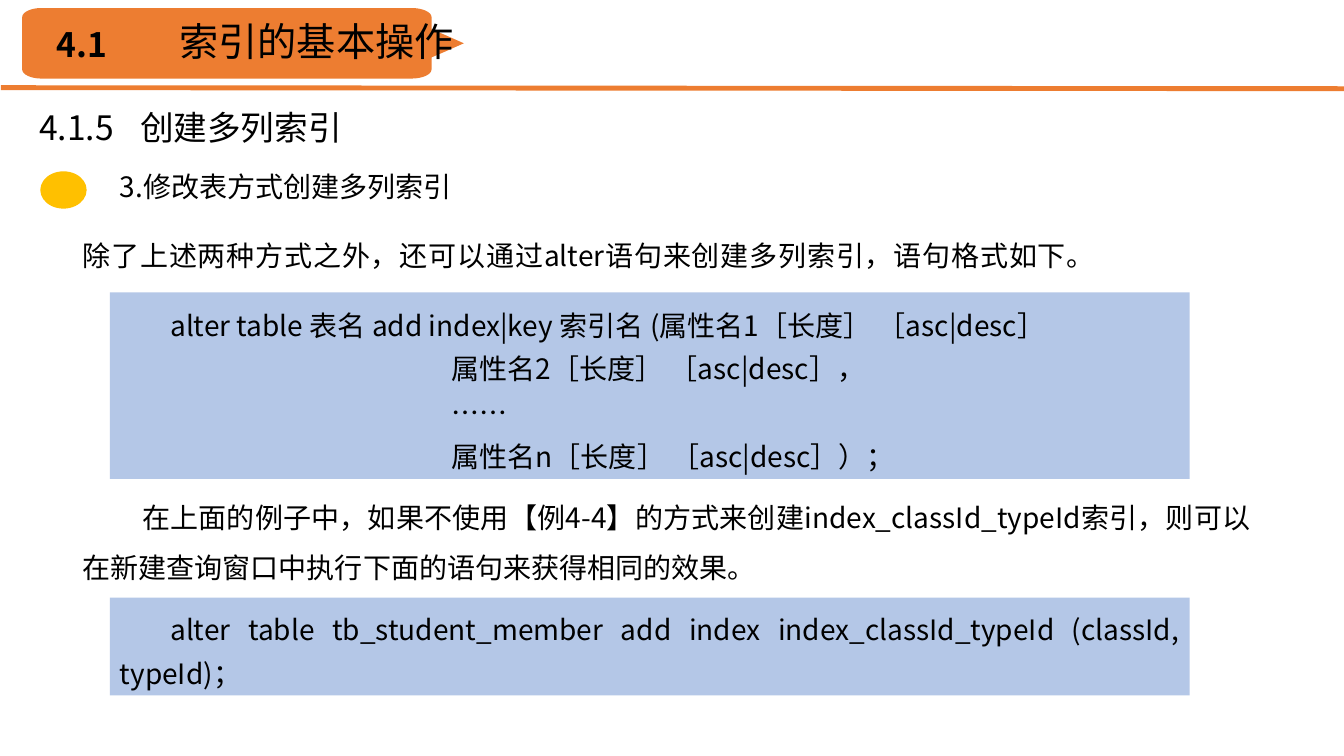
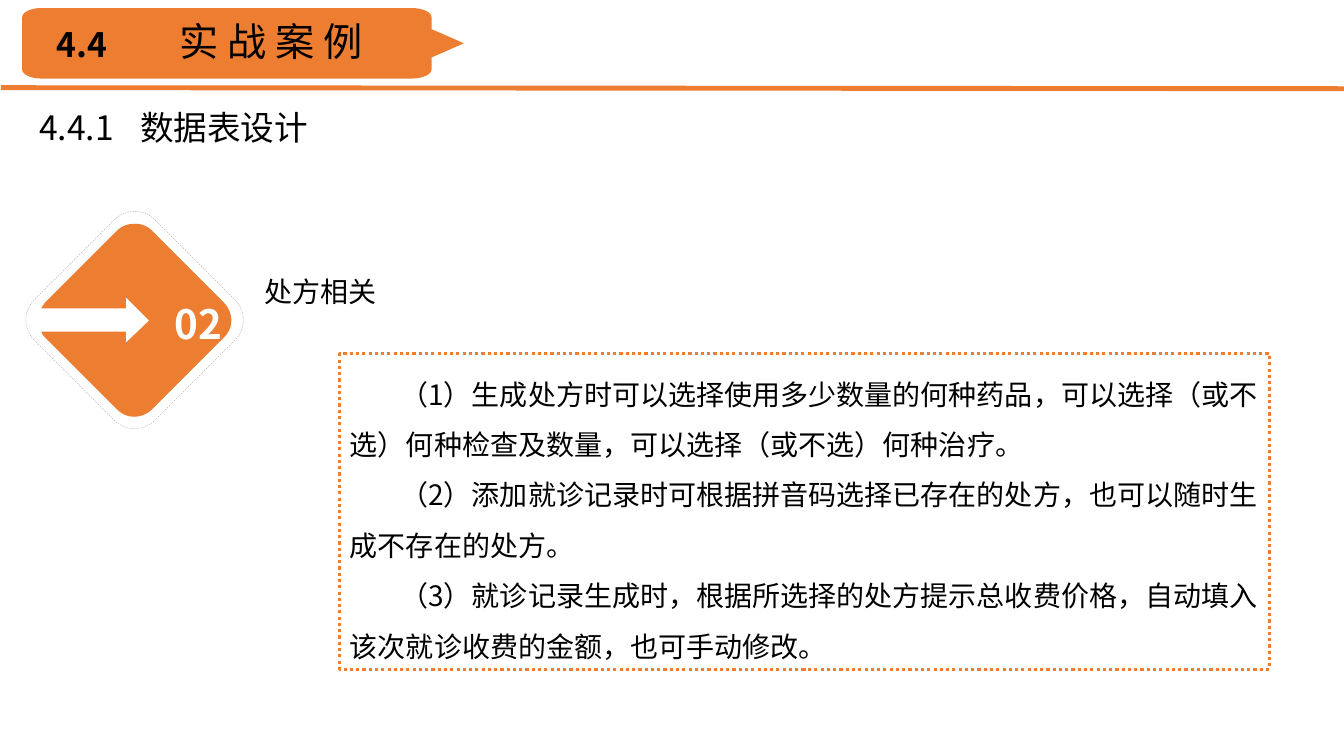
from dataclasses import dataclass

from lxml import etree
from pptx import Presentation
from pptx.dml.color import RGBColor
from pptx.enum.dml import MSO_LINE
from pptx.enum.shapes import MSO_CONNECTOR, MSO_SHAPE
from pptx.enum.text import MSO_ANCHOR, MSO_AUTO_SIZE, PP_ALIGN
from pptx.oxml.ns import qn
from pptx.util import Inches, Pt

LEFT, JUSTIFY = PP_ALIGN.LEFT, PP_ALIGN.JUSTIFY
TOP, MIDDLE = MSO_ANCHOR.TOP, MSO_ANCHOR.MIDDLE
NO_FIT = MSO_AUTO_SIZE.NONE
STRAIGHT = MSO_CONNECTOR.STRAIGHT
RECTANGLE, OVAL, ROUNDED = MSO_SHAPE.RECTANGLE, MSO_SHAPE.OVAL, MSO_SHAPE.ROUNDED_RECTANGLE
DOTTED, DASHED = MSO_LINE.ROUND_DOT, MSO_LINE.DASH


@dataclass(frozen=True)
class Theme:
    font: str = "Noto Sans CJK SC"
    ink: RGBColor = RGBColor(0x00, 0x00, 0x00)
    white: RGBColor = RGBColor(0xFF, 0xFF, 0xFF)
    accent: RGBColor = RGBColor(0xED, 0x7D, 0x31)
    marker: RGBColor = RGBColor(0xFF, 0xC0, 0x00)
    code: RGBColor = RGBColor(0xB4, 0xC7, 0xE7)
    frame: RGBColor = RGBColor(0xA6, 0xA6, 0xA6)
    title: float = 28
    heading: float = 24
    body: float = 20
    emblem: float = 28.8


THEME = Theme()
SLIDE_WIDTH, SLIDE_HEIGHT = 13.33, 7.5
TITLE_ONLY, TITLE_AND_CONTENT = 5, 1
HEADING_TAB = 0.96
CODE_INDENT = 0.5
CODE_COLUMN = 3.29

BANNER = [
    (0.19, 0), (3.86, 0), (3.97, 0, 4.06, 0.04, 4.06, 0.09), (4.06, 0.21),
    (4.2, 0.27), (4.38, 0.35), (4.2, 0.43), (4.06, 0.49), (4.06, 0.61),
    (4.06, 0.66, 3.97, 0.7, 3.86, 0.7), (0.19, 0.7),
    (0.09, 0.7, 0, 0.66, 0, 0.61), (0, 0.09), (0, 0.04, 0.09, 0, 0.19, 0),
]
NOTCHED_DIAMOND = [
    (1.09, 0.12), (1.15, 0.12, 1.21, 0.14, 1.26, 0.19), (1.97, 0.9),
    (2.07, 1, 2.07, 1.16, 1.97, 1.25), (1.26, 1.96),
    (1.16, 2.06, 1, 2.06, 0.91, 1.96), (0.2, 1.25),
    (0.19, 1.24, 0.18, 1.23, 0.17, 1.21), (0.16, 1.19), (1, 1.19), (1, 1.3),
    (1.23, 1.08), (1, 0.85), (1, 0.96), (0.16, 0.96), (0.17, 0.94),
    (0.18, 0.93, 0.19, 0.91, 0.2, 0.9), (0.91, 0.19),
    (0.96, 0.14, 1.02, 0.12, 1.09, 0.12),
]


def apply(target, values):
    for name, value in values.items():
        setattr(target, name, value)


def place(shape, box):
    apply(shape, dict(zip(("left", "top", "width", "height"), map(Inches, box))))


def write(shape, lines, size=THEME.body, color=THEME.ink, bold=False, align=LEFT,
          spacing=1.0, first=0, margin=0, tab=None, anchor=TOP, wrap=True):
    frame = shape.text_frame
    apply(frame, {"auto_size": NO_FIT, "word_wrap": wrap, "vertical_anchor": anchor})
    for number, line in enumerate(lines):
        paragraph = frame.add_paragraph() if number else frame.paragraphs[0]
        properties = paragraph._p.get_or_add_pPr()
        properties.set("marL", str(Inches(margin if number else 0)))
        properties.set("indent", str(Inches(0 if number and margin else first)))
        etree.SubElement(properties, qn("a:buNone"))
        if tab:
            stops = etree.SubElement(properties, qn("a:tabLst"))
            etree.SubElement(stops, qn("a:tab"), pos=str(Inches(tab)), algn="l")
        apply(paragraph, {"alignment": align, "line_spacing": spacing,
                          "space_before": Pt(0), "space_after": Pt(0)})
        run = paragraph.add_run()
        run.text = line
        apply(run.font, {"name": THEME.font, "size": Pt(size), "bold": bold})
        run.font.color.rgb = color
        etree.SubElement(run.font._element, qn("a:ea"), typeface=THEME.font)


def add_text(shapes, box, lines, **text_format):
    textbox = shapes.add_textbox(*map(Inches, box))
    write(textbox, lines, **text_format)
    return textbox


def paint(shape, fill=None):
    shape.shadow.inherit = False
    if fill is None:
        shape.fill.background()
    else:
        shape.fill.solid()
        shape.fill.fore_color.rgb = fill
    shape.line.fill.background()


def outline(shape, color, width, dash):
    shape.line.color.rgb = color
    apply(shape.line, {"width": Pt(width), "dash_style": dash})


def add_block(shapes, kind, box, fill=None):
    block = shapes.add_shape(kind, *map(Inches, box))
    paint(block, fill)
    return block


def trace(segments, steps=8):
    points = [segments[0]]
    for segment in segments[1:]:
        if len(segment) == 2:
            points.append(segment)
            continue
        nodes = [points[-1], segment[:2], segment[2:4], segment[4:]]
        for step in range(1, steps + 1):
            t = step / steps
            weights = ((1 - t) ** 3, 3 * t * (1 - t) ** 2, 3 * t * t * (1 - t), t ** 3)
            points.append(tuple(sum(w * node[axis] for w, node in zip(weights, nodes))
                                for axis in (0, 1)))
    return points


def add_outline(shapes, left, top, segments, fill):
    points = [(Inches(left + x), Inches(top + y)) for x, y in trace(segments)]
    builder = shapes.build_freeform(*points[0])
    builder.add_line_segments(points[1:], close=True)
    figure = builder.convert_to_shape()
    paint(figure, fill)
    return figure


def add_master_band(master, slide):
    rule = slide.shapes.add_connector(
        STRAIGHT, *map(Inches, (0.01, 0.87, SLIDE_WIDTH, 0.88)))
    rule.line.color.rgb = THEME.accent
    rule.line.width = Pt(3.5)
    etree.SubElement(rule.element.spPr, qn("a:effectLst"))
    banner = add_outline(slide.shapes, 0.22, 0.08, BANNER, THEME.accent)
    for part in (banner, rule):
        master.shapes.element.insert(2, part.element)


def add_header(slide, chapter, title, section, topic):
    add_text(slide.shapes, (0.46, 0.19, 0.95, 0.5), [chapter],
             size=THEME.heading, bold=True)
    place(slide.shapes.title, (1.68, 0.12, 4.92, 0.57))
    write(slide.shapes.title, [title], size=THEME.title)
    add_text(slide.shapes, (0.29, 1.01, 4.92, 0.5), [f"{section}\t{topic}"],
             size=THEME.heading, tab=HEADING_TAB)


def add_marked_heading(slide, left, top, text):
    add_block(slide.shapes, OVAL, (left, top + 0.07, 0.46, 0.37), THEME.marker)
    add_text(slide.shapes, (left + 0.69, top, 4.56, 0.44), [text])


def add_prose(slide, box, text):
    add_text(slide.shapes, box, [text], align=JUSTIFY, spacing=1.5, first=0.59)


def add_code(slide, top, height, lines):
    panel = add_block(slide.shapes, RECTANGLE, (1.09, top, 10.71, height), THEME.code)
    write(panel, lines, align=JUSTIFY, spacing=1.3, first=CODE_INDENT,
          margin=CODE_COLUMN, anchor=MIDDLE)


def add_emblem(slide, left, top, label):
    emblem = slide.shapes.add_group_shape().shapes
    border = add_block(emblem, ROUNDED, (left + 0.24, top + 0.23, 1.69, 1.69))
    border.rotation = 45
    outline(border, THEME.frame, 0.25, DASHED)
    add_outline(emblem, left, top, NOTCHED_DIAMOND, THEME.accent)
    add_text(emblem, (left + 1.38, top + 0.82, 0.58, 0.5), [label],
             size=THEME.emblem, color=THEME.white, bold=True, wrap=False)


def add_requirements(slide, box, requirements):
    panel = slide.placeholders[1]
    place(panel, box)
    outline(panel, THEME.accent, 2.25, DOTTED)
    write(panel, requirements, spacing=1.5, first=0.5, anchor=MIDDLE)


def build_index_slide(slide):
    add_header(slide, "4.1", "索引的基本操作", "4.1.5", "创建多列索引")
    add_marked_heading(slide, 0.4, 1.63, "3.修改表方式创建多列索引")
    add_prose(slide, (0.13, 2.15, 10.55, 0.6),
              "除了上述两种方式之外，还可以通过alter语句来创建多列索引，语句格式如下。")
    add_code(slide, 2.9, 1.85, [
        "alter table 表名 add index|key 索引名 (属性名1［长度］ ［asc|desc］",
        "属性名2［长度］ ［asc|desc］，",
        "……",
        "属性名n［长度］ ［asc|desc］）；",
    ])
    add_prose(slide, (0.72, 4.75, 11.78, 1.11),
              "在上面的例子中，如果不使用【例4-4】的方式来创建index_classId_typeId索引，"
              "则可以在新建查询窗口中执行下面的语句来获得相同的效果。")
    add_code(slide, 5.93, 0.97, [
        "alter table tb_student_member add index index_classId_typeId (classId, typeId)；",
    ])


def build_case_slide(slide):
    add_header(slide, "4.4", "实 战 案 例", "4.4.1", "数据表设计")
    add_requirements(slide, (3.37, 3.51, 9.22, 3.13), [
        "（1）生成处方时可以选择使用多少数量的何种药品，可以选择（或不选）何种检查及数量，"
        "可以选择（或不选）何种治疗。",
        "（2）添加就诊记录时可根据拼音码选择已存在的处方，也可以随时生成不存在的处方。",
        "（3）就诊记录生成时，根据所选择的处方提示总收费价格，自动填入该次就诊收费的金额，"
        "也可手动修改。",
    ])
    add_text(slide.shapes, (2.52, 2.67, 2.78, 0.44), ["处方相关"])
    add_emblem(slide, 0.25, 2.1, "02")


def main():
    deck = Presentation()
    apply(deck, {"slide_width": Inches(SLIDE_WIDTH), "slide_height": Inches(SLIDE_HEIGHT)})
    index_slide = deck.slides.add_slide(deck.slide_layouts[TITLE_ONLY])
    case_slide = deck.slides.add_slide(deck.slide_layouts[TITLE_AND_CONTENT])
    add_master_band(deck.slide_master, index_slide)
    build_index_slide(index_slide)
    build_case_slide(case_slide)
    deck.save("out.pptx")


if __name__ == "__main__":
    main()
